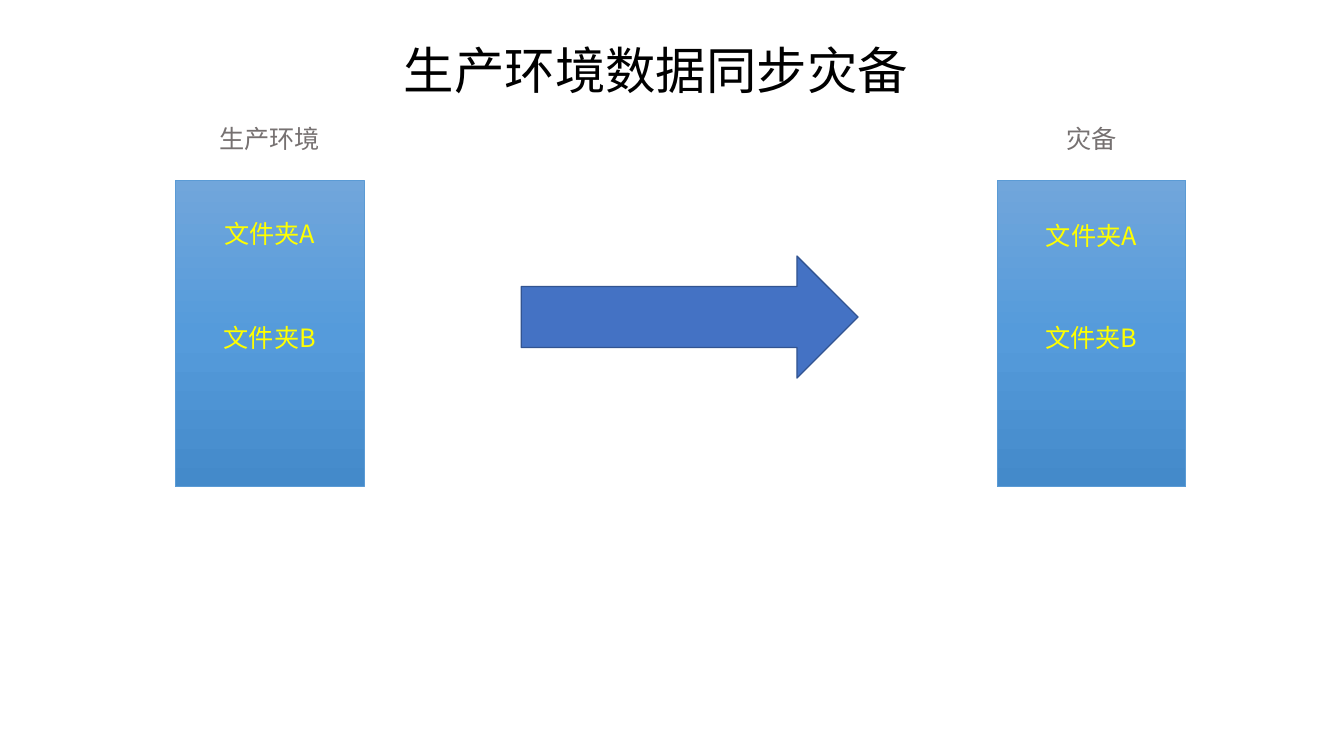
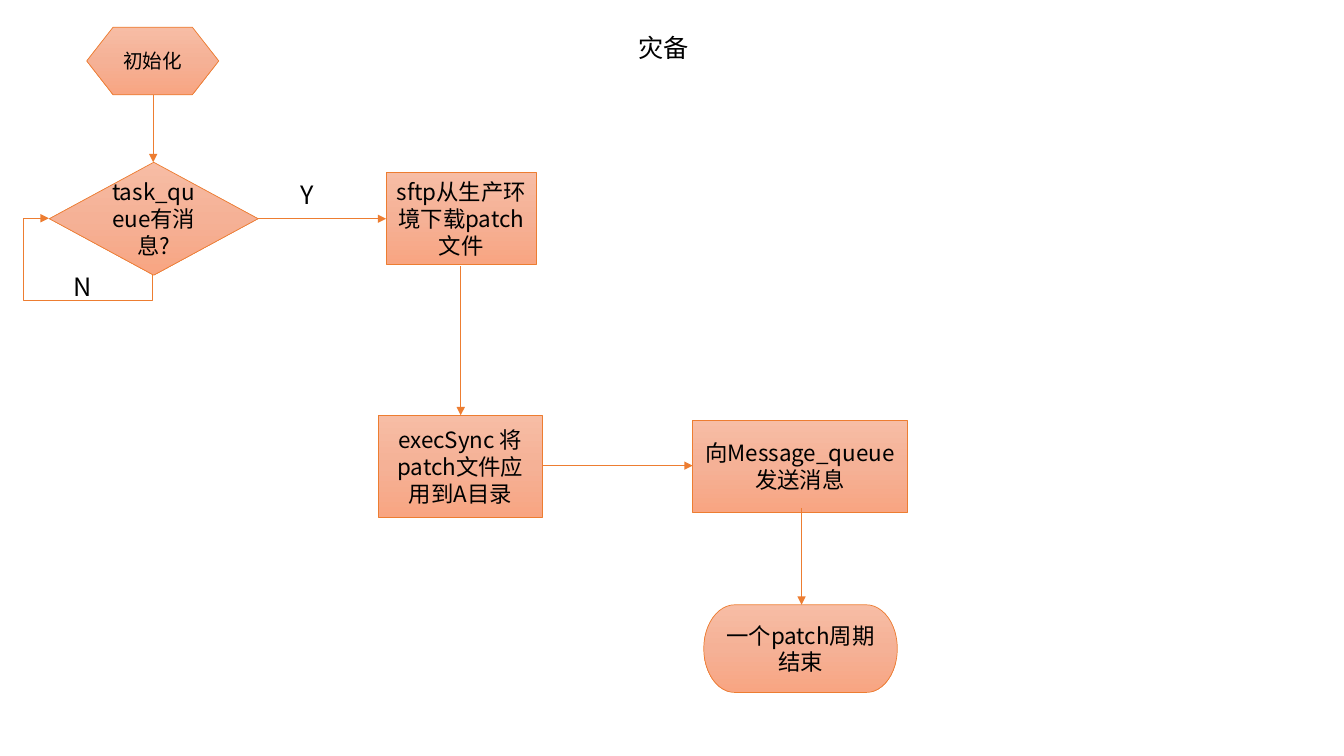
import copy
import pptx
import pptx.util
import pptx.dml.color
import pptx.enum.shapes
import pptx.enum.text
import pptx.oxml.ns
from lxml import etree

Inches = pptx.util.Inches
Pt = pptx.util.Pt
RGB = pptx.dml.color.RGBColor.from_string
Shape = pptx.enum.shapes.MSO_SHAPE
Link = pptx.enum.shapes.MSO_CONNECTOR
Align = pptx.enum.text.PP_ALIGN
Anchor = pptx.enum.text.MSO_ANCHOR
Fit = pptx.enum.text.MSO_AUTO_SIZE
qn = pptx.oxml.ns.qn


# Theme
class Theme:
    font = "Noto Sans CJK SC"
    black, grey, yellow = "000000", "767171", "FFFF00"
    arrow, edge = "4472C4", "325491"
    blue, orange = "5B9BD5", "ED7D31"
    blues = ["71A6DB", "559BDB", "448ACA"]
    oranges = ["F7BDA5", "F5B196", "F8A582"]
    title, label, step, start = 36, 18, 16, 14
    thin, thick = 0.5, 1


def write(shape, text, size, color, anchor=Anchor.TOP, align=Align.CENTER):
    frame = shape.text_frame
    frame.text = text
    frame.word_wrap = True
    frame.auto_size = Fit.NONE
    frame.vertical_anchor = anchor
    para = frame.paragraphs[0]
    para.alignment = align
    font = para.runs[0].font
    font.size = Pt(size)
    font.color.rgb = RGB(color)
    font.name = Theme.font
    asian = etree.SubElement(para.runs[0]._r.get_or_add_rPr(), qn("a:ea"))
    asian.set("typeface", Theme.font)


def shade(shape, colors, line):
    shape.shadow.inherit = False
    shape.line.color.rgb = RGB(line)
    shape.line.width = Pt(Theme.thin)
    shape.fill.gradient()
    shape.fill.gradient_angle = 270
    stops = shape._element.spPr.find(".//" + qn("a:gsLst"))
    stops.insert(1, copy.deepcopy(stops[0]))
    for stop, color, place in zip(shape.fill.gradient_stops, colors, (0, 0.5, 1)):
        stop.color.rgb = RGB(color)
        stop.position = place


deck = pptx.Presentation()
deck.slide_width, deck.slide_height = Inches(13.33), Inches(7.5)

# Titles
heads = [
    ("生产环境数据同步灾备", (3.8, 0.36, 5.41, 0.69), Theme.title, Anchor.BOTTOM, 0.9),
    ("灾备", (5.77, 0.27, 1.62, 0.4), Theme.label, Anchor.TOP, 1),
]
slides = []
for text, box, size, anchor, space in heads:
    slide = deck.slides.add_slide(deck.slide_layouts[5])
    title = slide.shapes.title
    title.left, title.top, title.width, title.height = map(Inches, box)
    write(title, text, size, Theme.black, anchor)
    title.text_frame.paragraphs[0].line_spacing = space
    slides.append(slide)
sync, flow = [slide.shapes for slide in slides]

# Slide 1: the two sites and their folders
for name, left, first in (("生产环境", 1.74, 2.12), ("灾备", 9.89, 2.14)):
    site = sync.add_shape(Shape.RECTANGLE, Inches(left), Inches(1.79), Inches(1.87), Inches(3.04))
    shade(site, Theme.blues, Theme.blue)
    for text, top, color in (
        (name, 1.17, Theme.grey),
        ("文件夹A", first, Theme.yellow),
        ("文件夹B", 3.15, Theme.yellow),
    ):
        label = sync.add_textbox(Inches(left + 0.23), Inches(top), Inches(1.41), Inches(0.4))
        write(label, text, Theme.label, color)

arrow = sync.add_shape(Shape.RIGHT_ARROW, Inches(5.17), Inches(2.54), Inches(3.34), Inches(1.21))
arrow.shadow.inherit = False
arrow.fill.solid()
arrow.fill.fore_color.rgb = RGB(Theme.arrow)
arrow.line.color.rgb = RGB(Theme.edge)
arrow.line.width = Pt(Theme.thick)

# Slide 2: steps
steps = {}
for key, kind, box, text, size in (
    ("start", Shape.FLOWCHART_PREPARATION, (0.86, 0.27, 1.31, 0.67), "初始化", Theme.start),
    ("check", Shape.FLOWCHART_DECISION, (0.49, 1.61, 2.07, 1.12), "task_queue有消息?", Theme.step),
    ("fetch", Shape.FLOWCHART_PROCESS, (3.83, 1.71, 1.49, 0.91), "sftp从生产环境下载patch文件", Theme.step),
    ("apply", Shape.FLOWCHART_PROCESS, (3.75, 4.12, 1.63, 1.01), "execSync 将patch文件应用到A目录", Theme.step),
    ("send", Shape.FLOWCHART_PROCESS, (6.87, 4.17, 2.13, 0.91), "向Message_queue发送消息", Theme.step),
    ("end", Shape.FLOWCHART_TERMINATOR, (6.98, 6, 1.92, 0.87), "一个patch周期结束", Theme.step),
):
    step = flow.add_shape(kind, *map(Inches, box))
    shade(step, Theme.oranges, Theme.orange)
    write(step, text, size, Theme.black, Anchor.MIDDLE)
    steps[key] = step

# Branch labels
for text, box, align in (
    ("Y", (2.63, 1.73, 0.83, 0.4), Align.CENTER),
    ("N", (0.63, 2.64, 0.48, 0.4), Align.LEFT),
):
    label = flow.add_textbox(*map(Inches, box))
    write(label, text, Theme.label, Theme.black, align=align)

# Arrows between steps, the loop last
for kind, ends in (
    (Link.STRAIGHT, (1.52, 0.94, 1.52, 1.61)),
    (Link.STRAIGHT, (2.55, 2.17, 3.83, 2.17)),
    (Link.STRAIGHT, (4.57, 2.64, 4.57, 4.12)),
    (Link.STRAIGHT, (5.38, 4.62, 6.87, 4.62)),
    (Link.STRAIGHT, (7.95, 5.04, 7.95, 6)),
    (Link.ELBOW, (1.52, 2.73, 0.49, 2.17)),
):
    link = flow.add_connector(kind, *map(Inches, ends))
    link.line.color.rgb = RGB(Theme.orange)
    link.line.width = Pt(Theme.thin)
    tail = etree.SubElement(link.line._get_or_add_ln(), qn("a:tailEnd"))
    tail.set("type", "triangle")
    etree.SubElement(link._element.spPr, qn("a:effectLst"))

# Route the loop below and left of the check
link.begin_connect(steps["check"], 2)
link.end_connect(steps["check"], 1)
link.left, link.top, link.width, link.height = map(Inches, (0.72, 1.93, 0.56, 1.03))
frame = link._element.spPr.find(qn("a:xfrm"))
for key, value in (("rot", "5400000"), ("flipH", "1"), ("flipV", "0")):
    frame.set(key, value)
route = link._element.spPr.find(qn("a:prstGeom"))
route.set("prst", "bentConnector4")
bends = route.find(qn("a:avLst"))
if bends is None:
    bends = etree.SubElement(route, qn("a:avLst"))
for key, value in (("adj1", -44800), ("adj2", 124200)):
    bend = etree.SubElement(bends, qn("a:gd"))
    bend.set("name", key)
    bend.set("fmla", f"val {value}")

deck.save("out.pptx")
